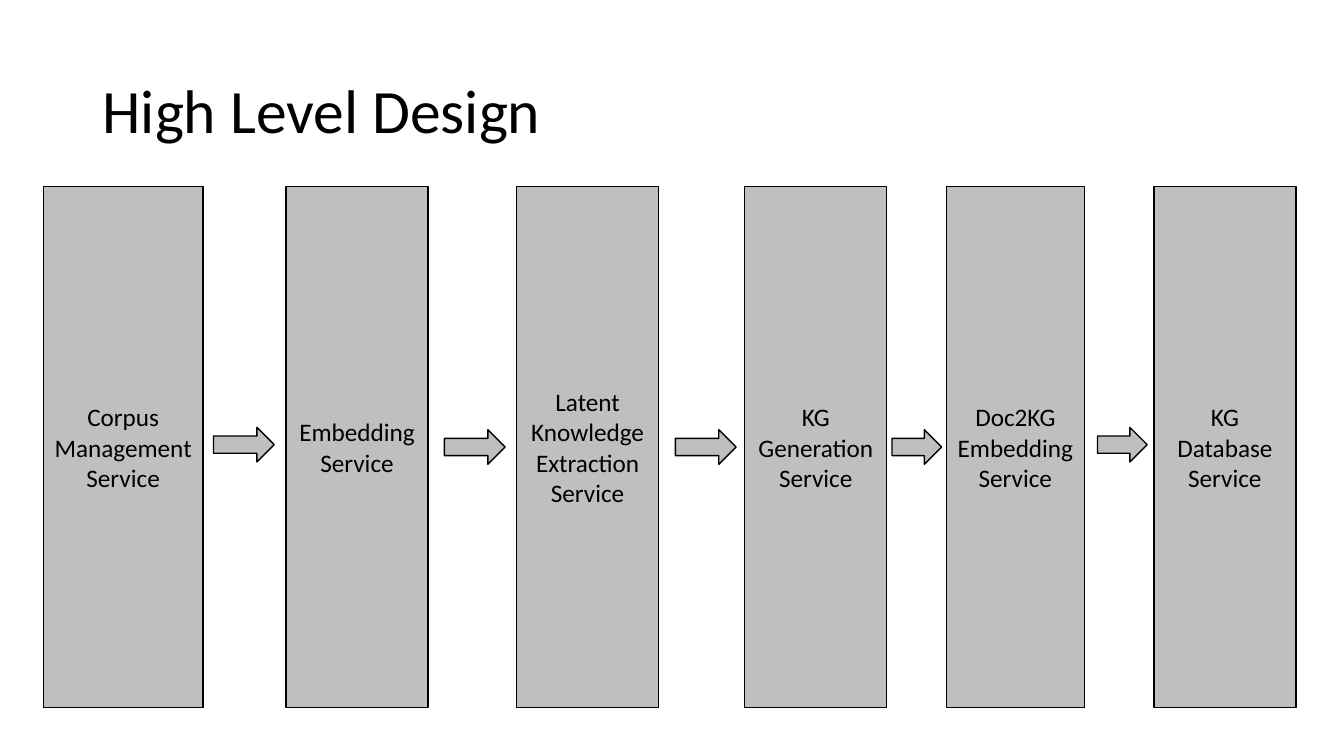
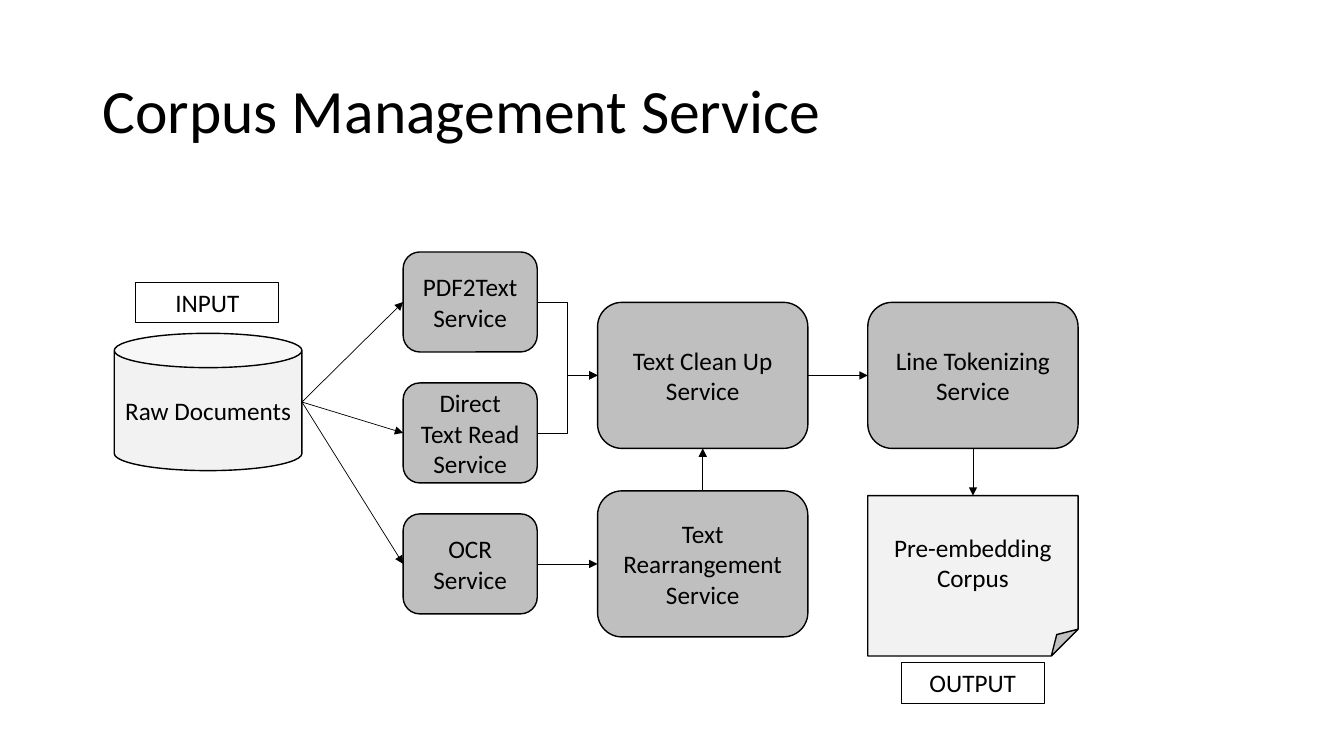
from lxml import etree
from pptx import Presentation
from pptx.dml.color import RGBColor
from pptx.enum.shapes import MSO_CONNECTOR, MSO_SHAPE
from pptx.enum.text import MSO_ANCHOR, MSO_AUTO_SIZE, PP_ALIGN
from pptx.oxml.ns import qn
from pptx.util import Cm, Pt

RECTANGLE = MSO_SHAPE.RECTANGLE
ROUNDED = MSO_SHAPE.ROUNDED_RECTANGLE
RIGHT_ARROW = MSO_SHAPE.RIGHT_ARROW
CAN = MSO_SHAPE.CAN
FOLDED_CORNER = MSO_SHAPE.FOLDED_CORNER
STRAIGHT = MSO_CONNECTOR.STRAIGHT
ELBOW = MSO_CONNECTOR.ELBOW
MIDDLE = MSO_ANCHOR.MIDDLE
TOP_ANCHOR = MSO_ANCHOR.TOP
FIT_SHAPE = MSO_AUTO_SIZE.SHAPE_TO_FIT_TEXT
LEFT_ALIGN = PP_ALIGN.LEFT
CENTER = PP_ALIGN.CENTER

FONT = "Calibri"
BLACK = RGBColor.from_string("000000")
SERVICE_GRAY = RGBColor.from_string("BFBFBF")
DATA_GRAY = RGBColor.from_string("F2F2F2")
TOP, LEFT, BOTTOM, RIGHT = range(4)
CAN_RIGHT = 4

presentation = Presentation()
presentation.slide_width = Cm(33.87)
presentation.slide_height = Cm(19.05)
title_only = presentation.slide_layouts[5]


def write_text(shape, text, size, alignment, anchor):
    frame = shape.text_frame
    frame.word_wrap = True
    frame.vertical_anchor = anchor
    paragraph = frame.paragraphs[0]
    paragraph.alignment = alignment
    run = paragraph.add_run()
    run.text = text
    run.font.name = FONT
    run.font.size = Pt(size)
    run.font.color.rgb = BLACK


def add_box(slide, preset, left, top, width, height, text="", fill=SERVICE_GRAY):
    shape = slide.shapes.add_shape(preset, Cm(left), Cm(top), Cm(width), Cm(height))
    shape.shadow.inherit = False
    shape.line.color.rgb = BLACK
    shape.line.width = Pt(1)
    if fill is None:
        shape.fill.background()
    else:
        shape.fill.solid()
        shape.fill.fore_color.rgb = fill
    if text:
        write_text(shape, text, 18, CENTER, MIDDLE)
    return shape


slides = []
for heading in ("High Level Design", "Corpus Management Service"):
    slide = presentation.slides.add_slide(title_only)
    title = slide.shapes.title
    title.left, title.top, title.width, title.height = Cm(2.33), Cm(1.01), Cm(29.21), Cm(3.68)
    write_text(title, heading, 44, LEFT_ALIGN, MIDDLE)
    title.text_frame.paragraphs[0].line_spacing = 0.9
    slides.append(slide)
design_slide, corpus_slide = slides

stages = [
    ("Corpus Management Service", 1.09, 4.03),
    ("Embedding Service", 7.21, 3.58),
    ("Latent Knowledge Extraction Service", 13.02, 3.58),
    ("KG Generation Service", 18.77, 3.58),
    ("Doc2KG Embedding Service", 23.85, 3.48),
    ("KG Database Service", 29.08, 3.58),
]
for text, left, width in stages:
    add_box(design_slide, RECTANGLE, left, 4.7, width, 13.13, text)

stage_arrows = [
    (5.38, 10.77, 1.53),
    (11.2, 10.83, 1.53),
    (17.02, 10.83, 1.53),
    (22.48, 10.83, 1.25),
    (27.66, 10.77, 1.25),
]
for left, top, width in stage_arrows:
    add_box(design_slide, RIGHT_ARROW, left, top, width, 0.87)

raw_documents = add_box(corpus_slide, CAN, 2.88, 8.4, 4.73, 3.46, "Raw Documents", DATA_GRAY)
readers = [
    add_box(corpus_slide, ROUNDED, 10.16, 6.35 + 3.3 * row, 3.38, 2.52, text)
    for row, text in enumerate(("PDF2Text Service", "Direct Text Read Service", "OCR Service"))
]
pdf_reader, text_reader, ocr_reader = readers
clean_up, rearrangement, tokenizing = [
    add_box(corpus_slide, ROUNDED, left, top, 5.3, 3.68, text)
    for left, top, text in (
        (15.06, 7.62, "Text Clean Up Service"),
        (15.06, 12.37, "Text Rearrangement Service"),
        (21.87, 7.62, "Line Tokenizing Service"),
    )
]
corpus = add_box(corpus_slide, FOLDED_CORNER, 21.87, 12.49, 5.3, 4.04, "Pre-embedding Corpus", DATA_GRAY)

for text, left, top in (("INPUT", 3.42, 7.11), ("OUTPUT", 22.71, 16.69)):
    label = add_box(corpus_slide, RECTANGLE, left, top, 3.61, 1.03, text, None)
    label.line.width = Pt(0.75)
    label.text_frame.vertical_anchor = TOP_ANCHOR
    label.text_frame.auto_size = FIT_SHAPE

links = [(STRAIGHT, raw_documents, RIGHT, reader, LEFT) for reader in readers]
links += [
    (ELBOW, pdf_reader, RIGHT, clean_up, LEFT),
    (ELBOW, text_reader, RIGHT, clean_up, LEFT),
    (ELBOW, ocr_reader, RIGHT, rearrangement, LEFT),
    (STRAIGHT, rearrangement, TOP, clean_up, BOTTOM),
    (STRAIGHT, clean_up, RIGHT, tokenizing, LEFT),
    (STRAIGHT, tokenizing, BOTTOM, corpus, TOP),
]
for kind, source, source_site, target, target_site in links:
    connector = corpus_slide.shapes.add_connector(kind, 0, 0, 0, 0)
    connector.begin_connect(source, source_site)
    connector.end_connect(target, target_site)
    connector.line.color.rgb = BLACK
    connector.line.width = Pt(0.5)
    if source is raw_documents:
        next(connector.element.iter(qn("a:stCxn"))).set("idx", str(CAN_RIGHT))
    properties = connector.element.spPr
    etree.SubElement(properties.find(qn("a:ln")), qn("a:tailEnd"), type="triangle")
    etree.SubElement(properties, qn("a:effectLst"))

presentation.save("out.pptx")
